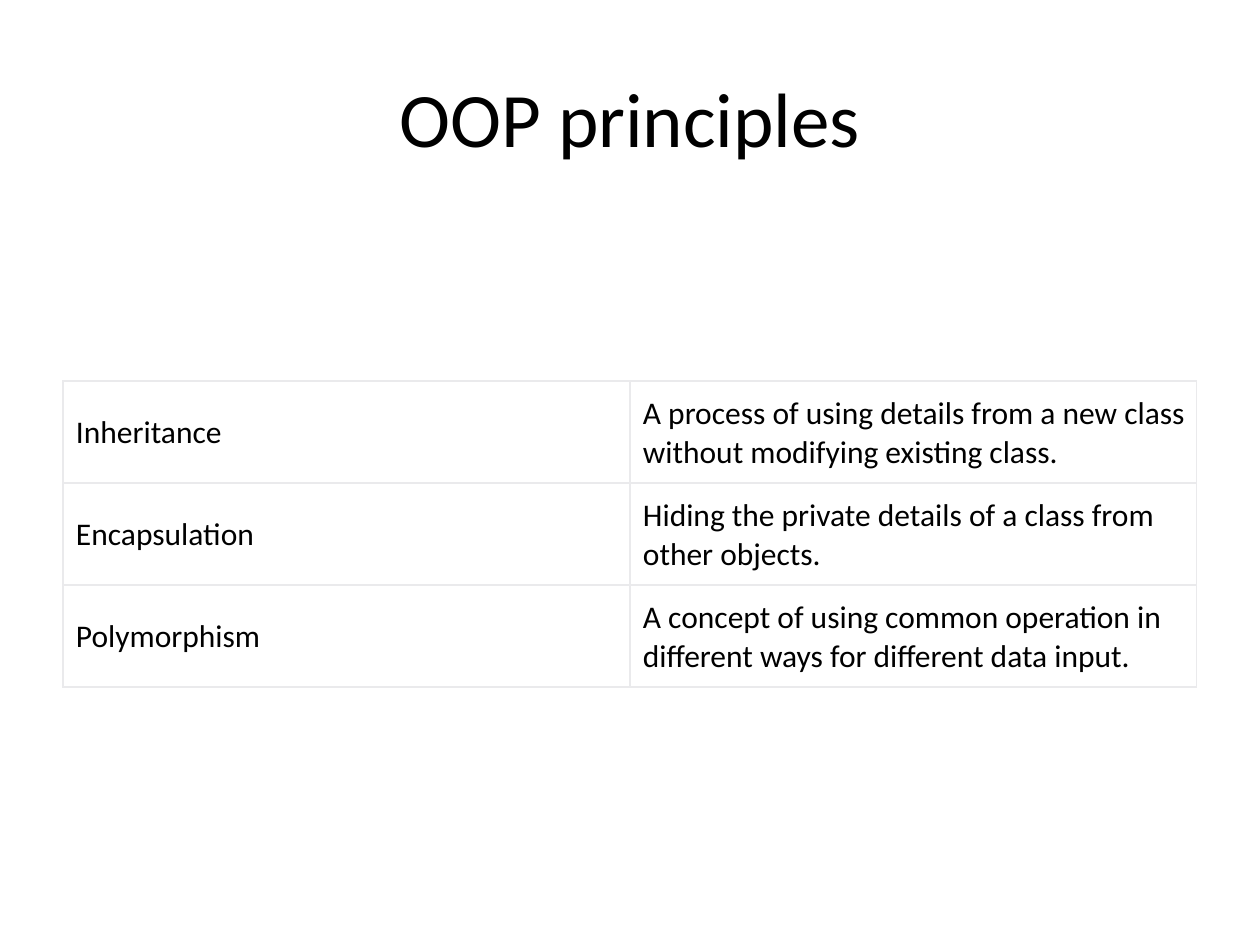
from dataclasses import dataclass

from lxml.etree import SubElement
from pptx import Presentation
from pptx.dml.color import RGBColor
from pptx.enum.text import MSO_ANCHOR as Anchor, PP_ALIGN as Align
from pptx.oxml.ns import qn
from pptx.slide import Slide
from pptx.table import _Cell as Cell
from pptx.text.text import _Paragraph as Paragraph
from pptx.util import Emu, Pt

PIXEL = 914400 // 126
COLORS = {"text": "000000", "cell": "FFFFFF", "border": "EAEAEC"}
FONT = "Calibri"
TITLE_FORMAT = {"word_wrap": True, "vertical_anchor": Anchor.MIDDLE}
CELL_MARGINS = {"margin_left": 13, "margin_top": 13, "margin_right": 10, "margin_bottom": 11}
TABLE_FLAGS = {"first_row": False, "horz_banding": False}
BORDER_SIDES = ("a:lnL", "a:lnR", "a:lnT", "a:lnB")
LEFT, WIDTH = 63, 1134
TITLE_TOP, TITLE_HEIGHT = 38, 157
TABLE_TOP, ROW_HEIGHT = 381, 102


@dataclass(frozen=True)
class Principle:
    """One OOP principle and its meaning."""
    term: str
    meaning: str


PRINCIPLES = (
    Principle("Inheritance",
              "A process of using details from a new class without modifying existing class."),
    Principle("Encapsulation",
              "Hiding the private details of a class from other objects."),
    Principle("Polymorphism",
              "A concept of using common operation in different ways for different data input."),
)


def px(pixels: int) -> Emu:
    """Turn pixels into EMU."""
    return Emu(pixels * PIXEL)


def write(paragraph: Paragraph, words: str, size: int, align: Align) -> None:
    """Put formatted words into a paragraph."""
    paragraph.alignment = align
    run = paragraph.add_run()
    run.text = words
    for key, value in {"name": FONT, "size": Pt(size), "bold": False}.items():
        setattr(run.font, key, value)
    run.font.color.rgb = RGBColor.from_string(COLORS["text"])


def add_title(slide: Slide, words: str) -> None:
    """Add the centred slide title."""
    title = slide.shapes.add_textbox(px(LEFT), px(TITLE_TOP), px(WIDTH), px(TITLE_HEIGHT))
    for key, value in TITLE_FORMAT.items():
        setattr(title.text_frame, key, value)
    write(title.text_frame.paragraphs[0], words, 44, Align.CENTER)


def add_borders(cell: Cell) -> None:
    """Draw a thin line on all four sides of a cell."""
    properties = cell._tc.get_or_add_tcPr()
    for position, side in enumerate(BORDER_SIDES):
        line = SubElement(properties, qn(side), w=str(Pt(0.75)))
        fill = SubElement(line, qn("a:solidFill"))
        SubElement(fill, qn("a:srgbClr"), val=COLORS["border"])
        properties.insert(position, line)


def fill_cell(cell: Cell, words: str) -> None:
    """Format one cell and write its words."""
    for key, pixels in CELL_MARGINS.items():
        setattr(cell, key, px(pixels))
    cell.vertical_anchor = Anchor.MIDDLE
    cell.fill.solid()
    cell.fill.fore_color.rgb = RGBColor.from_string(COLORS["cell"])
    add_borders(cell)
    write(cell.text_frame.paragraphs[0], words, 18, Align.LEFT)


def add_principles(slide: Slide, principles: tuple[Principle, ...]) -> None:
    """Add the table with one principle a row."""
    height = ROW_HEIGHT * len(principles)
    table = slide.shapes.add_table(len(principles), 2, px(LEFT), px(TABLE_TOP),
                                   px(WIDTH), px(height)).table
    for key, value in TABLE_FLAGS.items():
        setattr(table, key, value)
    for row, principle in enumerate(principles):
        for column, words in enumerate((principle.term, principle.meaning)):
            fill_cell(table.cell(row, column), words)


def main() -> None:
    """Build and save the slide."""
    deck = Presentation()
    deck.slide_width, deck.slide_height = px(1260), px(945)
    slide = deck.slides.add_slide(deck.slide_layouts[6])
    add_title(slide, "OOP principles")
    add_principles(slide, PRINCIPLES)
    deck.save("out.pptx")


main()
